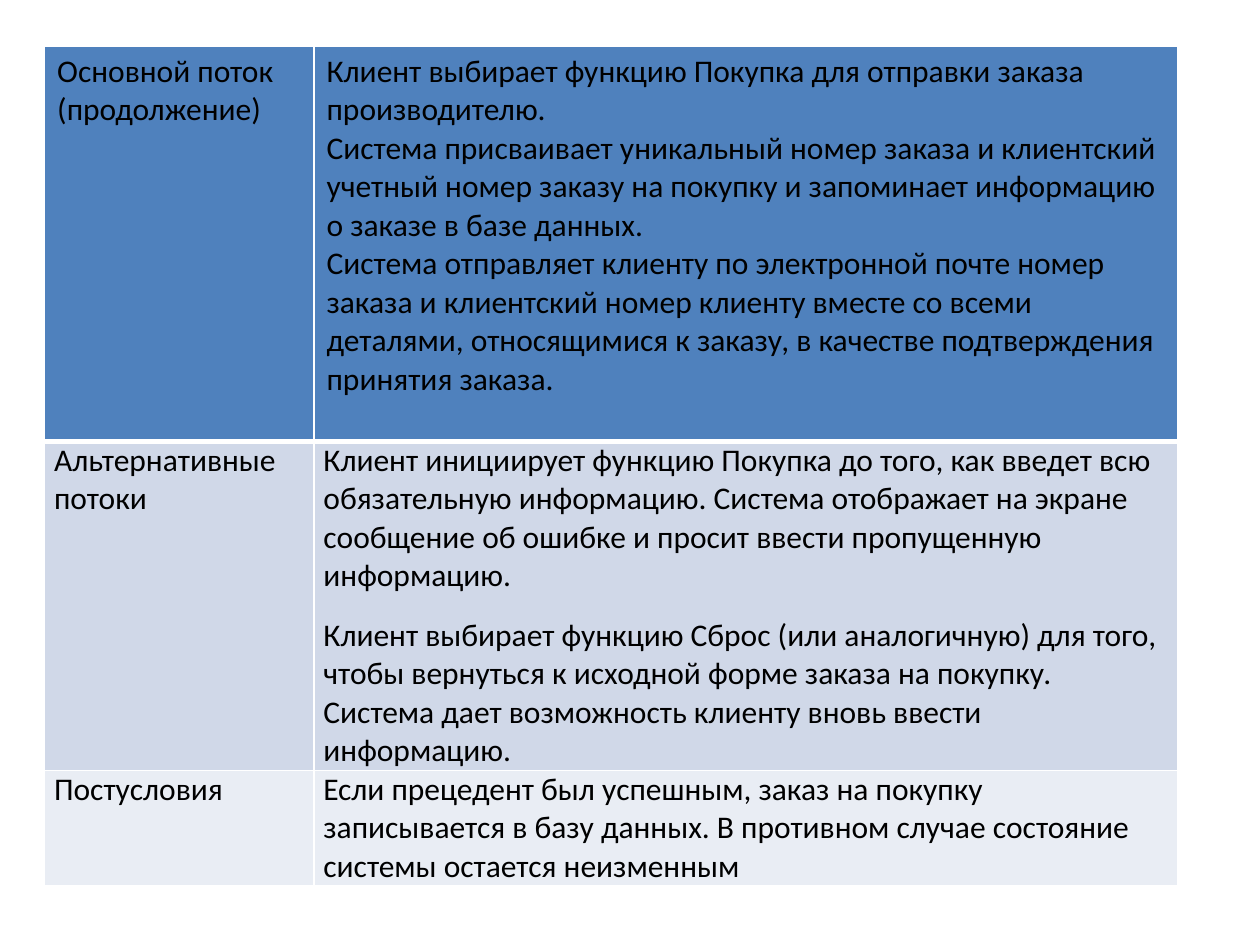
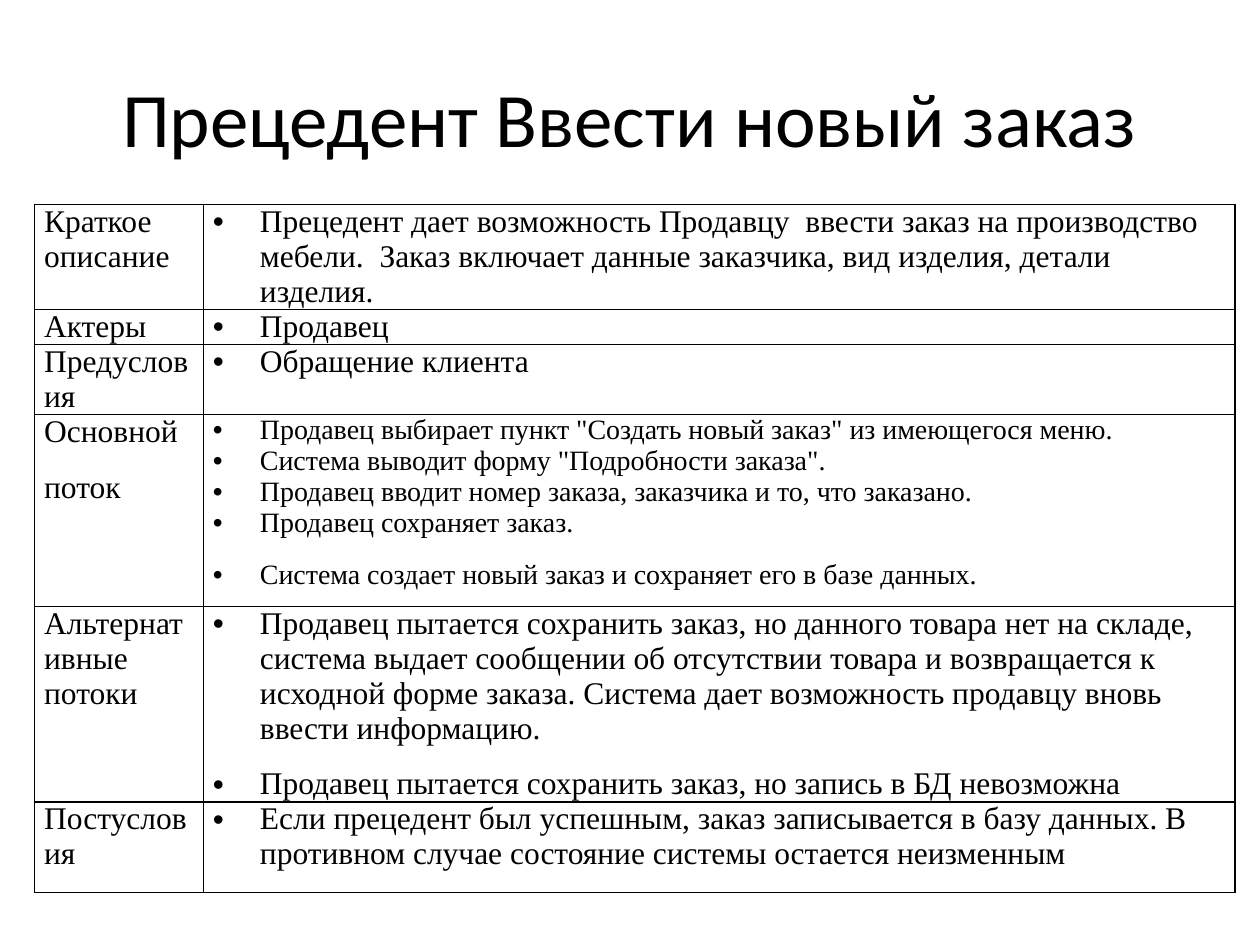
from lxml import etree
from pptx import Presentation
from pptx.dml.color import RGBColor
from pptx.enum.text import MSO_ANCHOR, PP_ALIGN
from pptx.oxml.ns import qn
from pptx.util import Cm, Pt

MIDDLE = MSO_ANCHOR.MIDDLE
CENTER = PP_ALIGN.CENTER
TITLED, BLANK = 5, 6
BLACK, WHITE = "000000", "FFFFFF"
BLUE, PALE, LIGHT = "4F81BD", "D0D8E8", "E9EDF4"
SANS, SERIF = "Calibri", "Times New Roman"

# Each cell is a list of blocks: a gap precedes a block, its lines stay tight.
FLOWS = [
    (["Основной поток (продолжение)"],
     ["Клиент выбирает функцию Покупка для отправки заказа производителю.\n"
      "Система присваивает уникальный номер заказа и клиентский учетный номер "
      "заказу на покупку и запоминает информацию о заказе в базе данных.\n"
      "Система отправляет клиенту по электронной почте номер заказа и клиентский "
      "номер клиенту вместе со всеми деталями, относящимися к заказу, в качестве "
      "подтверждения принятия заказа."]),
    (["Альтернативные потоки"],
     ["Клиент инициирует функцию Покупка до того, как введет всю обязательную "
      "информацию. Система отображает на экране сообщение об ошибке и просит "
      "ввести пропущенную информацию.",
      "Клиент выбирает функцию Сброс (или аналогичную) для того, чтобы вернуться "
      "к исходной форме заказа на покупку. Система дает возможность клиенту вновь "
      "ввести информацию."]),
    (["Постусловия"],
     ["Если прецедент был успешным, заказ на покупку записывается в базу данных. "
      "В противном случае состояние системы остается неизменным"]),
]
ORDER = [
    (["Краткое описание"],
     ["Прецедент дает возможность Продавцу  ввести заказ на производство мебели.  "
      "Заказ включает данные заказчика, вид изделия, детали изделия."]),
    (["Актеры"], ["Продавец"]),
    (["Предусловия"], ["Обращение клиента"]),
    (["Основной", "поток"],
     ['Продавец выбирает пункт "Создать новый заказ" из имеющегося меню.\n'
      'Система выводит форму "Подробности заказа".\n'
      "Продавец вводит номер заказа, заказчика и то, что заказано.\n"
      "Продавец сохраняет заказ.",
      "Система создает новый заказ и сохраняет его в базе данных."]),
    (["Альтернативные потоки"],
     ["Продавец пытается сохранить заказ, но данного товара нет на складе, система "
      "выдает сообщении об отсутствии товара и возвращается к исходной форме заказа. "
      "Система дает возможность продавцу вновь ввести информацию.",
      "Продавец пытается сохранить заказ, но запись в БД невозможна"]),
    (["Постусловия"],
     ["Если прецедент был успешным, заказ записывается в базу данных. В противном "
      "случае состояние системы остается неизменным"]),
]


def tint(code):
    return RGBColor.from_string(code)


class Deck:
    def __init__(self):
        self.file = Presentation()
        self.file.slide_width, self.file.slide_height = Cm(25.4), Cm(19.05)
        self.slide = None

    def page(self, layout):
        self.slide = self.file.slides.add_slide(self.file.slide_layouts[layout])

    def style(self, par, size, face):
        par.font.size, par.font.name = Pt(size), face
        par.font.bold = False
        par.font.color.rgb = tint(BLACK)

    def title(self, text):
        box = self.slide.shapes.title
        box.left, box.top, box.width, box.height = Cm(1.27), Cm(0.76), Cm(22.86), Cm(3.18)
        box.text_frame.text = text
        box.text_frame.vertical_anchor = MIDDLE
        par = box.text_frame.paragraphs[0]
        par.alignment = CENTER
        self.style(par, 44, SANS)

    def table(self, left, top, cols, rows):
        frame = self.slide.shapes.add_table(len(rows), len(cols), Cm(left), Cm(top),
                                            Cm(sum(cols)), Cm(sum(rows)))
        grid = frame.table
        grid.first_row = grid.horz_banding = False
        for col, width in zip(grid.columns, cols):
            col.width = Cm(width)
        for row, height in zip(grid.rows, rows):
            row.height = Cm(height)
        return grid

    def edges(self, cell, color, base=1):
        props = cell._tc.get_or_add_tcPr()
        for side, width in zip("LRTB", (1, 1, 1, base)):
            line = etree.SubElement(props, qn(f"a:ln{side}"), w=str(Pt(width)))
            fill = etree.SubElement(line, qn("a:solidFill"))
            etree.SubElement(fill, qn("a:srgbClr"), val=color)

    def paint(self, cell, color=None):
        if color:
            cell.fill.solid()
            cell.fill.fore_color.rgb = tint(color)
        else:
            cell.fill.background()

    def inset(self, cell):
        cell.margin_left = cell.margin_right = Cm(0.19)
        cell.margin_top = cell.margin_bottom = 0

    def bullet(self, par):
        props = par._p.get_or_add_pPr()
        props.set("marL", str(Cm(0.95)))
        props.set("indent", str(-Cm(0.95)))
        etree.SubElement(props, qn("a:buFont"), typeface="Arial")
        etree.SubElement(props, qn("a:buChar"), char="•")

    def fill_text(self, cell, blocks, size, face, gap=12, dots=False):
        lines = [(line, 0 if num else gap) for block in blocks
                 for num, line in enumerate(block.split("\n"))]
        cell.text = "\n".join(line for line, _ in lines)
        for par, (_, space) in zip(cell.text_frame.paragraphs, lines):
            par.space_before = Pt(space)
            if dots:
                self.bullet(par)
            self.style(par, size, face)


def main():
    deck = Deck()

    # Slide 1: purchase flows, with a taller coloured head row
    deck.page(BLANK)
    grid = deck.table(0.9, 0.93, (5.43, 17.42), (7.97, 6.63, 2.32))
    for row, (texts, color) in enumerate(zip(FLOWS, (BLUE, PALE, LIGHT))):
        head = row == 0
        for col, blocks in enumerate(texts):
            cell = grid.cell(row, col)
            deck.edges(cell, WHITE, 3 if head else 1)
            deck.paint(cell, color)
            if not head:
                deck.inset(cell)
            deck.fill_text(cell, blocks, 18, SANS, 0 if head else 12)

    # Slide 2: new order use case, with bullets in the second column
    deck.page(TITLED)
    deck.title("Прецедент Ввести новый заказ")
    grid = deck.table(0.7, 4.12, (3.4, 20.8), (2.12, 0.7, 1.41, 3.87, 3.94, 1.83))
    for row, texts in enumerate(ORDER):
        for col, blocks in enumerate(texts):
            cell = grid.cell(row, col)
            deck.edges(cell, BLACK)
            deck.paint(cell)
            deck.inset(cell)
            steps = row == 3 and col == 1
            deck.fill_text(cell, blocks, 16 if steps else 18, SERIF, dots=col == 1)

    deck.file.save("out.pptx")


if __name__ == "__main__":
    main()
